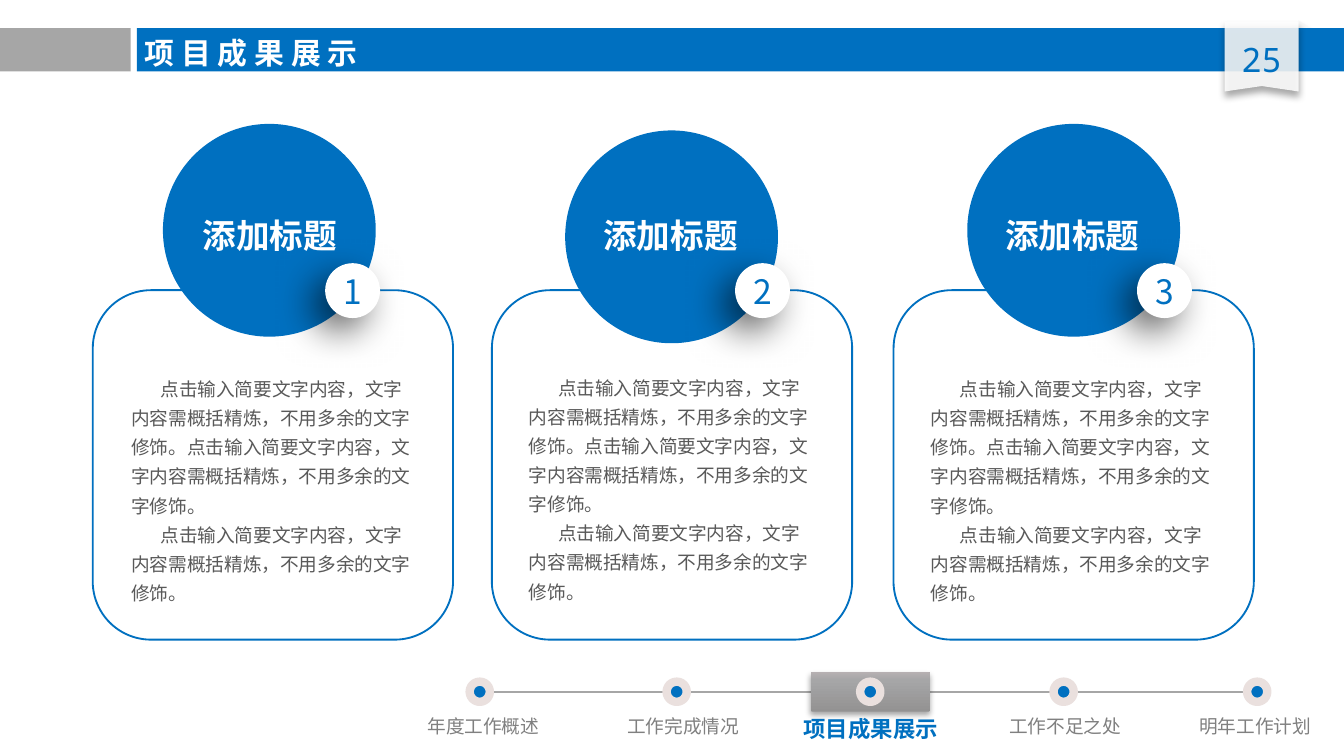
from lxml.etree import SubElement as Sub
from pptx import Presentation
from pptx.dml.color import RGBColor
from pptx.enum.shapes import MSO_CONNECTOR as Link, MSO_SHAPE as Kind
from pptx.enum.text import MSO_ANCHOR as Anchor, PP_ALIGN as Align
from pptx.oxml.ns import qn
from pptx.util import Pt

BLUE = RGBColor(0x00, 0x70, 0xC0)
GRAY = RGBColor(0xA6, 0xA6, 0xA6)
PALE = RGBColor(0xF8, 0xF8, 0xF8)
WHITE = RGBColor(0xFF, 0xFF, 0xFF)
BLACK = RGBColor(0x00, 0x00, 0x00)
ROSE = RGBColor(0xEA, 0xE0, 0xDE)
MUTED = RGBColor(0x80, 0x80, 0x80)
INK = RGBColor(0x59, 0x59, 0x59)
SHADES = [(0, RGBColor(0x93, 0x92, 0x92)), (80, RGBColor(0xA6, 0xA6, 0xA7)),
          (100, RGBColor(0xB6, 0xB0, 0xB2))]
SANS, MONO, LATIN = "Noto Sans CJK SC", "Noto Sans Mono", "Calibri"

TITLE = "项 目 成 果 展 示"
PAGE = "25"
HEAD = "添加标题"
LINE = "点击输入简要文字内容，文字内容需概括精炼，不用多余的文字修饰。"
BODY = [LINE * 2, LINE]
CARDS = [
    dict(num="1", left=49.7, disk=(87.3, 66.4), head=101.5, badge=174.2, body=(70.4, 198.9)),
    dict(num="2", left=263.5, disk=(302.8, 69.9), head=316.1, badge=393.8, body=(283.4, 198.2)),
    dict(num="3", left=478.7, disk=(518.2, 66.4), head=531.4, badge=609.1, body=(498.7, 198.9)),
]
STEPS = [("年度工作概述", 257, 258.9), ("工作完成情况", 362.5, 366),
         ("项目成果展示", 466.2, 466.5), ("工作不足之处", 569.8, 570.6),
         ("明年工作计划", 673.5, 672.4)]
NOW = 2

deck = Presentation()
deck.slide_width, deck.slide_height = Pt(720), Pt(405)
slide = deck.slides.add_slide(deck.slide_layouts[6])


def tint(parent, color, alpha=100):
    node = Sub(parent, qn("a:srgbClr"), val=str(color))
    if alpha < 100:
        Sub(node, qn("a:alpha"), val=str(alpha * 1000))


def paint(shape, fill=None, line=None, width=1, alpha=100, shade=None):
    if fill is None:
        shape.fill.background()
    else:
        shape.fill.solid()
        shape.fill.fore_color.rgb = fill
        if alpha < 100:
            node = shape._element.spPr.find(qn("a:solidFill"))
            node.clear()
            tint(node, fill, alpha)
    if line is None:
        shape.line.fill.background()
    else:
        shape.line.color.rgb = line
        shape.line.width = Pt(width)
    shape.shadow.inherit = False
    if shade:
        dim, blur, dist, angle = shade
        node = Sub(shape._element.spPr.find(qn("a:effectLst")), qn("a:outerShdw"),
                   blurRad=str(Pt(blur)), dist=str(Pt(dist)), dir=str(angle * 60000),
                   algn="ctr", rotWithShape="0")
        tint(node, BLACK, dim)
    return shape


def draw(kind, x, y, w, h, fill=None, home=slide, adj=None, **look):
    shape = home.shapes.add_shape(kind, Pt(x), Pt(y), Pt(w), Pt(h))
    if adj is not None:
        shape.adjustments[0] = adj
    return paint(shape, fill, **look)


def write(shape, *lines, size=10, color=MUTED, font=SANS, bold=False, align=Align.CENTER,
          pad=(5, 2.9), wrap=True, lead=1.2, indent=0, anchor=Anchor.TOP):
    frame = shape.text_frame
    frame.word_wrap = wrap
    frame.vertical_anchor = anchor
    frame.margin_left = frame.margin_right = Pt(pad[0])
    frame.margin_top = frame.margin_bottom = Pt(pad[1])
    for i, line in enumerate(lines):
        para = frame.add_paragraph() if i else frame.paragraphs[0]
        para.alignment = align
        para.line_spacing = Pt(size * lead)
        if indent:
            para._p.get_or_add_pPr().set("indent", str(Pt(indent)))
        run = para.add_run()
        run.text = line
        run.font.size, run.font.bold, run.font.name = Pt(size), bold, font
        run.font.color.rgb = color
        Sub(run._r.rPr, qn("a:ea"), typeface=SANS)


def box(x, y, w, h):
    return slide.shapes.add_textbox(Pt(x), Pt(y), Pt(w), Pt(h))


def banner():
    fold = (40, 4, 3, 90)
    draw(Kind.RIGHT_TRIANGLE, 695.5, 10.8, 6.5, 4.3, PALE, alpha=85, shade=fold)
    draw(Kind.RECTANGLE, 0, 15.1, 70, 23.2, GRAY)
    draw(Kind.RECTANGLE, 73.4, 15.1, 646.6, 23.2, BLUE)
    path = slide.shapes.build_freeform(Pt(656), Pt(49), scale=1)
    path.add_line_segments([(Pt(x), Pt(y)) for x, y in
                            [(656, 11.5), (695.7, 11.5), (695.7, 49), (676, 46.1)]])
    paint(path.convert_to_shape(), WHITE, alpha=85, shade=fold)
    write(box(656, 18, 39.6, 27.4), PAGE, size=18, color=BLUE, font=MONO)
    write(box(70.6, 15.1, 164, 26.6), TITLE, size=16, color=WHITE, font=LATIN,
          bold=True, align=Align.LEFT, pad=(7.2, 3.6))


def track():
    rail = slide.shapes.add_connector(Link.STRAIGHT, Pt(260), Pt(370.6), Pt(672.5), Pt(370.6))
    rail.line.color.rgb, rail.line.width = GRAY, Pt(1)
    Sub(rail._element.spPr, qn("a:effectLst"))
    tab = draw(Kind.ROUNDED_RECTANGLE, 434.3, 360, 64, 21.3, GRAY, adj=0.05,
               shade=(35, 3.1, 1.8, 90))
    tab.fill.gradient()
    tab.fill.gradient_angle = 90
    stops = tab._element.spPr.find(qn("a:gradFill")).find(qn("a:gsLst"))
    stops.clear()
    for pos, color in SHADES:
        tint(Sub(stops, qn("a:gs"), pos=str(pos * 1000)), color)
    for i, (name, dot, mid) in enumerate(STEPS):
        look = dict(size=12, color=BLUE, bold=True) if i == NOW else {}
        draw(Kind.OVAL, dot - 5.4, 365.2, 10.8, 10.8, BLUE, line=ROSE, width=4.5)
        write(box(mid - 41.5, 380.2, 83, 20), name, wrap=False, **look)


def card(num, left, disk, head, badge, body):
    draw(Kind.ROUNDED_RECTANGLE, left, 155.5, 193, 187.2, line=BLUE)
    x, y = disk
    group = slide.shapes.add_group_shape()
    draw(Kind.DONUT, x, y, 114, 114, BLUE, home=group, adj=0.05)
    draw(Kind.OVAL, x + 2.6, y + 2.6, 108.8, 108.8, BLUE, home=group)
    coin = draw(Kind.OVAL, badge, 141, 29.4, 29.4, WHITE, shade=(60, 20, 10, 135))
    write(coin, num, size=18, color=BLUE, pad=(0, 0), wrap=False, anchor=Anchor.MIDDLE)
    write(box(head, 111.6, 87, 28.8), HEAD, size=18, color=WHITE, bold=True,
          align=Align.LEFT, pad=(7.2, 3.6), wrap=False)
    write(box(*body, 153.4, 126), *BODY, color=INK, align=Align.LEFT, pad=(0, 0),
          lead=1.56, indent=15.6)


banner()
track()
for item in CARDS:
    card(**item)
deck.save("out.pptx")
